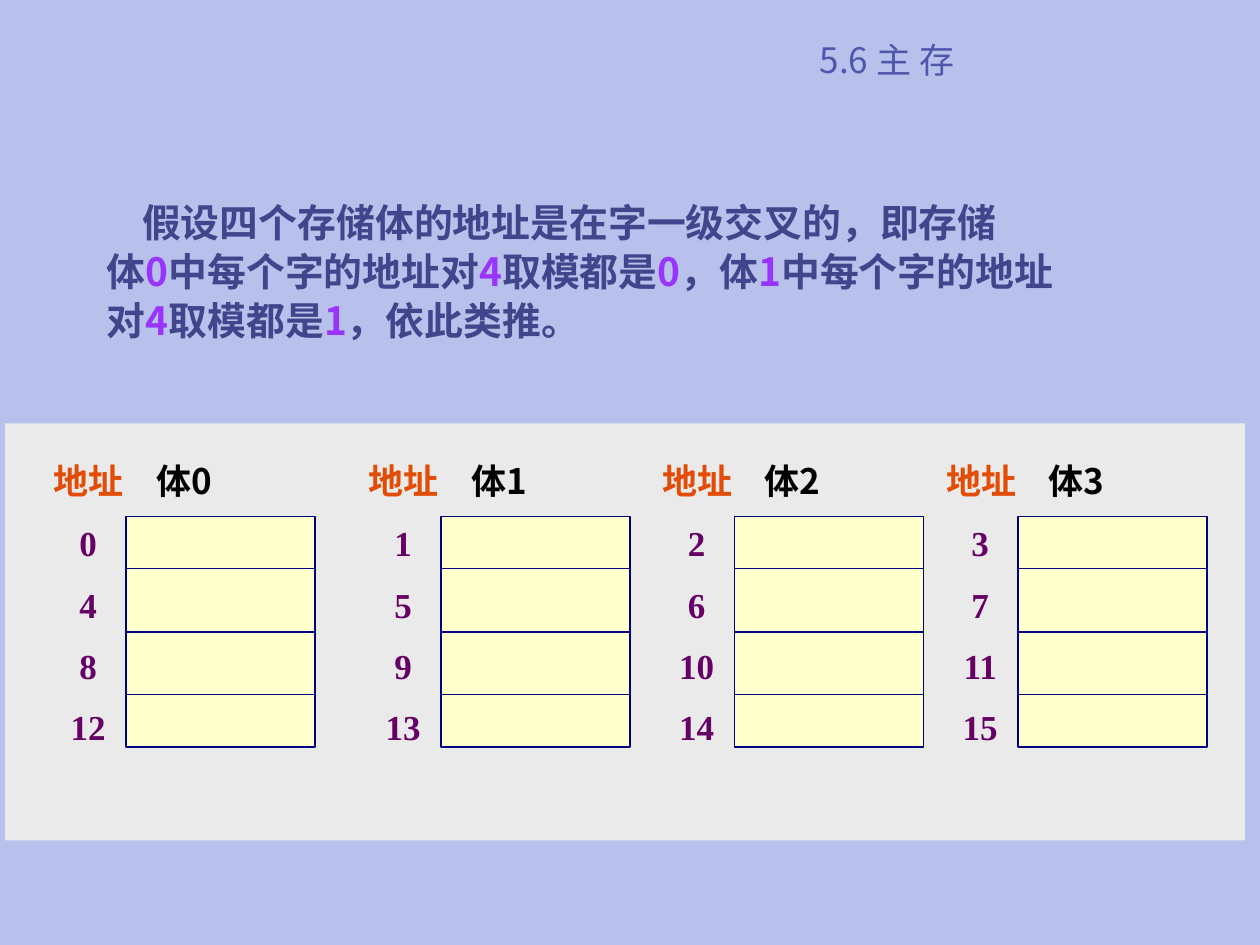
from dataclasses import dataclass

from lxml import etree
from pptx import Presentation
from pptx import util as u
from pptx.dml.color import RGBColor
from pptx.enum import shapes, text
from pptx.oxml.ns import qn


@dataclass(frozen=True)
class Theme:
    """Colours, fonts and type sizes of the slide."""
    background: str = "B7C1EB"
    panel: str = "EAEAEA"
    cell: str = "FFFFCC"
    border: str = "000084"
    title: str = "4F56AD"
    body: str = "40458C"
    number: str = "9933FF"
    heading: str = "E24C05"
    address: str = "660066"
    black: str = "000000"
    sans: str = "Noto Sans CJK SC"
    serif: str = "Times New Roman"
    label_size: float = 20
    body_size: float = 22.2


THEME = Theme()


def colour(value):
    """Turn a hex string into a colour."""
    return RGBColor.from_string(value)


def add_text(page, box, paragraphs, size=THEME.label_size, font=THEME.sans, bold=True,
             align=text.PP_ALIGN.LEFT, anchor=text.MSO_ANCHOR.TOP, spacing=1.0,
             before=0, first_left=0, tab=None, insets=(0.1, 0.1), wrap=True):
    """Add a text box whose paragraphs are lists of (words, colour) spans."""
    frame = page.shapes.add_textbox(*map(u.Inches, box)).text_frame
    frame.word_wrap = wrap
    frame.vertical_anchor = anchor
    frame.margin_left, frame.margin_right = map(u.Inches, insets)
    for index, spans in enumerate(paragraphs):
        para = frame.add_paragraph() if index else frame.paragraphs[0]
        para.alignment = align
        para.line_spacing = spacing
        if index:
            para.space_before = u.Pt(before)
        elif first_left:
            para._p.get_or_add_pPr().set("marL", str(u.Inches(first_left)))
        if tab:
            stops = etree.SubElement(para._p.get_or_add_pPr(), qn("a:tabLst"))
            etree.SubElement(stops, qn("a:tab"), pos=str(u.Inches(tab)), algn="l")
        for words, shade in spans:
            span = para.add_run()
            span.text = words
            span.font.size = u.Pt(size)
            span.font.bold = bold
            span.font.name = font
            span.font.color.rgb = colour(shade)
            etree.SubElement(span._r.get_or_add_rPr(), qn("a:ea"), typeface=font)


def add_rectangle(page, box, fill, border=None):
    """Add a flat rectangle with an optional border."""
    shape = page.shapes.add_shape(shapes.MSO_SHAPE.RECTANGLE, *map(u.Inches, box))
    shape.shadow.inherit = False
    shape.fill.solid()
    shape.fill.fore_color.rgb = colour(fill)
    if border:
        shape.line.color.rgb = colour(border)
        shape.line.width = u.Pt(0.75)
    else:
        shape.line.fill.background()
    return shape


def add_divider(page, left, top, width):
    """Add a horizontal line between two words of a memory bank."""
    ends = map(u.Inches, (left, top, left + width, top))
    line = page.shapes.add_connector(shapes.MSO_CONNECTOR.STRAIGHT, *ends)
    line.line.color.rgb = colour(THEME.border)
    line.line.width = u.Pt(0.75)
    etree.SubElement(line._element.spPr, qn("a:effectLst"))
    return line


def add_title(page, box):
    """Add the section title."""
    add_text(page, box, [[("5.6 主 存", THEME.title)]], bold=False,
             align=text.PP_ALIGN.CENTER, anchor=text.MSO_ANCHOR.BOTTOM)


def add_explanation(page, box):
    """Add the explanation with its digits highlighted."""
    lines = ("假设四个存储体的地址是在字一级交叉的，即存储",
             "体|0|中每个字的地址对|4|取模都是|0|，体|1|中每个字的地址",
             "对|4|取模都是|1|，依此类推。")
    paragraphs = [[(words, THEME.number if words.isdigit() else THEME.body)
                   for words in line.split("|")] for line in lines]
    add_text(page, box, paragraphs, size=THEME.body_size, spacing=0.9, before=4,
             first_left=0.28)


def add_bank(page, box, bank, banks=4, rows=4):
    """Add one memory bank with its heading and interleaved addresses."""
    left, top, width, height = box
    store = add_rectangle(page, box, THEME.cell, THEME.border)
    for row in range(1, rows):
        divider = add_divider(page, left, top + 0.41 + 0.5 * (row - 1), width)
        if row == rows // 2:
            divider.begin_connect(store, 1)
            divider.end_connect(store, 3)
    addresses = [[(str(bank + banks * row), THEME.address)] for row in range(rows)]
    add_text(page, (left - 0.54, top + 0.03, 0.67, height), addresses,
             font=THEME.serif, align=text.PP_ALIGN.CENTER, spacing=0.9, before=13.4,
             insets=(0, 0.19))
    heading = [("地址\t", THEME.heading), (f"体{bank}", THEME.black)]
    add_text(page, (left - 0.67, top - 0.5, 2.08, 0.44), [heading], tab=0.81)


def add_memory(page, box):
    """Add the panel with the four memory banks."""
    left, top, _, _ = box
    add_rectangle(page, box, THEME.panel)
    for bank, offset in enumerate((0.96, 3.46, 5.79, 8.04)):
        add_bank(page, (left + offset, top + 0.74, 1.5, 1.83), bank)


def main():
    """Build and save the deck."""
    deck = Presentation()
    deck.slide_width, deck.slide_height = u.Inches(10), u.Inches(7.5)
    page = deck.slides.add_slide(deck.slide_layouts[6])
    page.background.fill.solid()
    page.background.fill.fore_color.rgb = colour(THEME.background)
    add_memory(page, (0.04, 3.36, 9.84, 3.31))
    add_title(page, (4.25, 0.27, 5.58, 0.42))
    add_explanation(page, (0.75, 1.57, 8.5, 1.63))
    deck.save("out.pptx")


if __name__ == "__main__":
    main()
